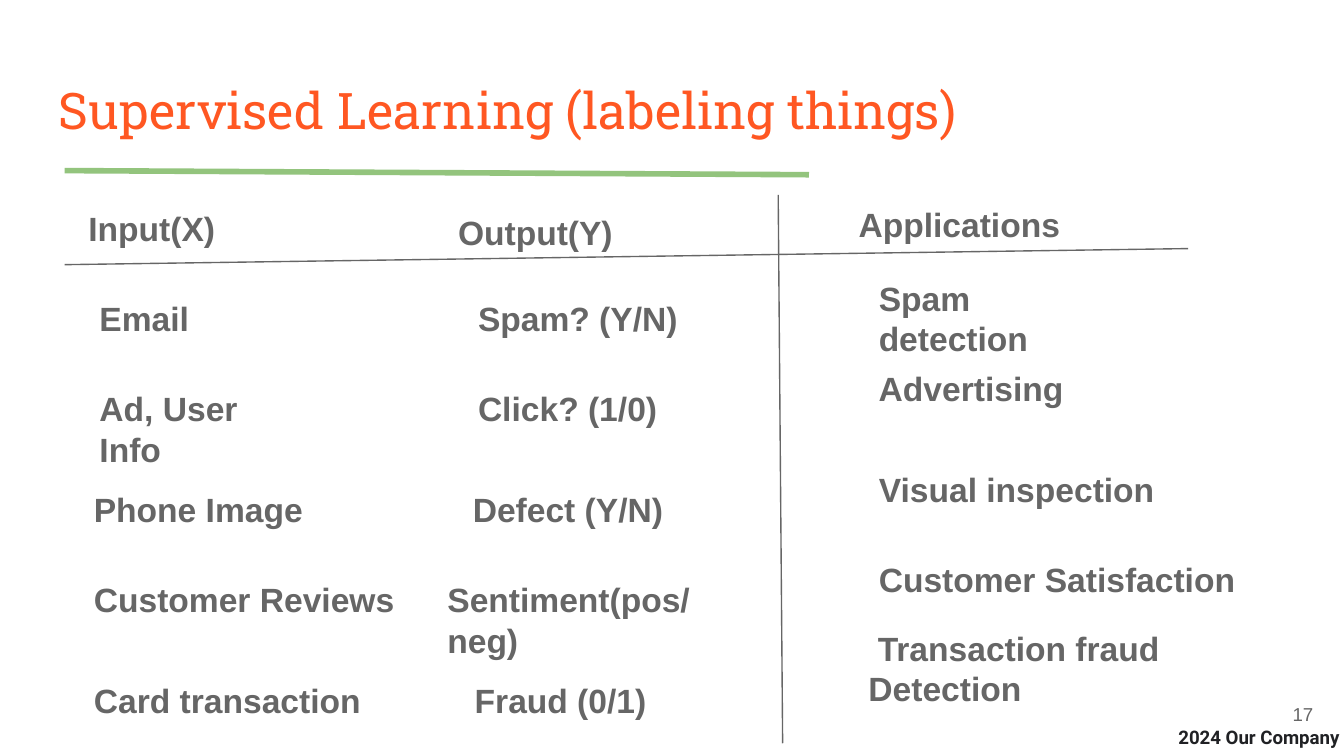
"""Build the supervised learning slide with its input, output and application columns."""
from dataclasses import dataclass

from lxml.etree import SubElement
from pptx import Presentation
from pptx.dml.color import RGBColor as RGB
from pptx.enum.shapes import MSO_CONNECTOR as CONN
from pptx.enum.text import MSO_ANCHOR as ANCHOR, PP_ALIGN as ALIGN
from pptx.oxml.ns import qn
from pptx.util import Pt


@dataclass(frozen=True)
class Style:
    font: str
    size: float
    color: RGB
    bold: bool = False


@dataclass(frozen=True)
class Theme:
    green: RGB = RGB(0x93, 0xC4, 0x7D)
    gray: RGB = RGB(0x66, 0x66, 0x66)
    title: Style = Style("Roboto Slab", 27, RGB(0xFF, 0x57, 0x22))
    body: Style = Style("Arial", 18, gray, True)
    footer: Style = Style("Roboto", 10, RGB(0x20, 0x21, 0x24), True)
    number: Style = Style("Arial", 10, gray)


THEME = Theme()
INSET = 7.2
BOX_H = 26.6
APP_RISE = 11

HEADINGS = [
    ("Input(X)", 40.3, 104.4, 133),
    ("Output(Y)", 238.3, 106.6, 133),
    ("Applications", 452.9, 102.2, 147),
]

INPUTS = [
    ("Email", 46.2, 77),
    ("Ad, User Info", 46.2, 123),
    ("Phone Image", 43.2, 147),
    ("Customer Reviews", 43.2, 178.6),
    ("Card transaction", 43.2, 178.6),
]
OUTPUTS = [
    ("Spam? (Y/N)", 249, 140.4),
    ("Click? (1/0)", 249, 140.4),
    ("Defect (Y/N)", 246.2, 140.4),
    ("Sentiment(pos/neg)", 232.6, 180),
    ("Fraud (0/1)", 247.2, 140.4),
]
APPS = [
    ("Spam detection", 140),
    ("Advertising", 147),
    ("Visual inspection", 180.7),
    ("Customer Satisfaction", 207.4),
]
APP_X = 463.7
ROW_TOPS = [152.6, 200.9, 254.9, 303.1, 357.1]


def add_text(s, lines, x, y, w, h, style, align=ALIGN.LEFT, anchor=ANCHOR.TOP, indent=0):
    tf = s.shapes.add_textbox(Pt(x), Pt(y), Pt(w), Pt(h)).text_frame
    tf.word_wrap = True
    tf.vertical_anchor = anchor
    tf.margin_left = tf.margin_right = tf.margin_top = tf.margin_bottom = Pt(INSET)
    p = tf.paragraphs[0]
    p.alignment = align
    if indent:
        p._p.get_or_add_pPr().set("indent", str(Pt(indent)))
    for i, text in enumerate(lines):
        if i:
            p.add_line_break()
        r = p.add_run()
        r.text = text
        r.font.name = style.font
        r.font.size = Pt(style.size)
        r.font.bold = style.bold
        r.font.color.rgb = style.color


def add_line(s, x1, y1, x2, y2, color, width):
    line = s.shapes.add_connector(CONN.STRAIGHT, Pt(x1), Pt(y1), Pt(x2), Pt(y2))
    line.line.color.rgb = color
    line.line.width = Pt(width)
    SubElement(line._element.spPr, qn("a:effectLst"))


def add_rules(s):
    add_line(s, 34.6, 91.4, 433.4, 93.6, THEME.green, 3)
    add_line(s, 34.6, 141.8, 636.5, 133.2, THEME.gray, 0.75)
    add_line(s, 416.9, 104.4, 419.3, 398.2, THEME.gray, 0.75)


def add_columns(s):
    for text, x, y, w in HEADINGS:
        add_text(s, [text], x, y, w, BOX_H, THEME.body)
    for column in (INPUTS, OUTPUTS):
        for (text, x, w), y in zip(column, ROW_TOPS):
            add_text(s, [text], x, y, w, BOX_H, THEME.body)
    for (text, w), y in zip(APPS, ROW_TOPS):
        add_text(s, [text], APP_X, y - APP_RISE, w, BOX_H, THEME.body)
    add_text(s, ["Transaction fraud", "Detection"], 458.2, 329, 237.6, 52.6,
             THEME.body, indent=5)


def add_footer(s):
    add_text(s, ["2024 Our Company"], 624.2, 383, 104.4, 22.3, THEME.footer)
    add_text(s, ["17"], 667.4, 367.2, 43.2, 31, THEME.number, ALIGN.RIGHT, ANCHOR.MIDDLE)


def main():
    prs = Presentation()
    prs.slide_width, prs.slide_height = Pt(720), Pt(405)
    s = prs.slides.add_slide(prs.slide_layouts[6])
    add_text(s, ["Supervised Learning (labeling things)"], 24.5, 35.3, 671, 45.4, THEME.title)
    add_rules(s)
    add_columns(s)
    add_footer(s)
    prs.save("out.pptx")


if __name__ == "__main__":
    main()
